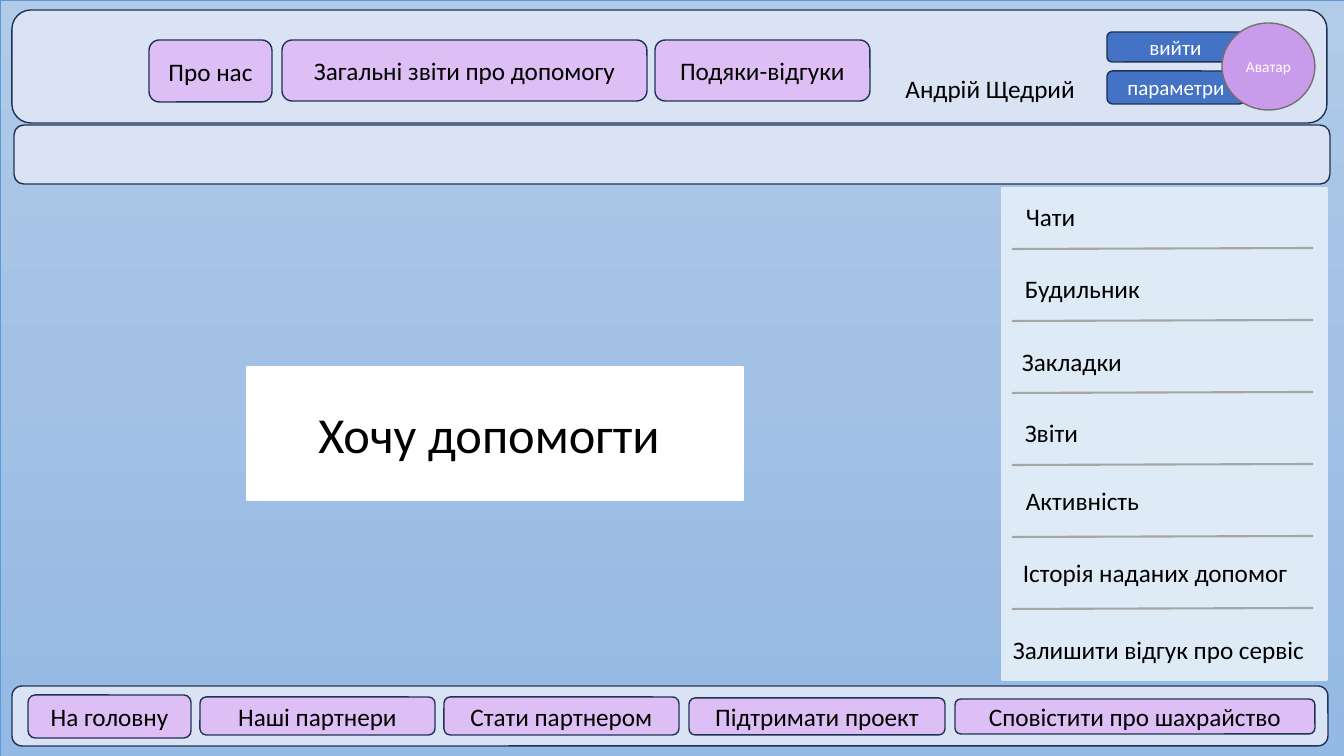
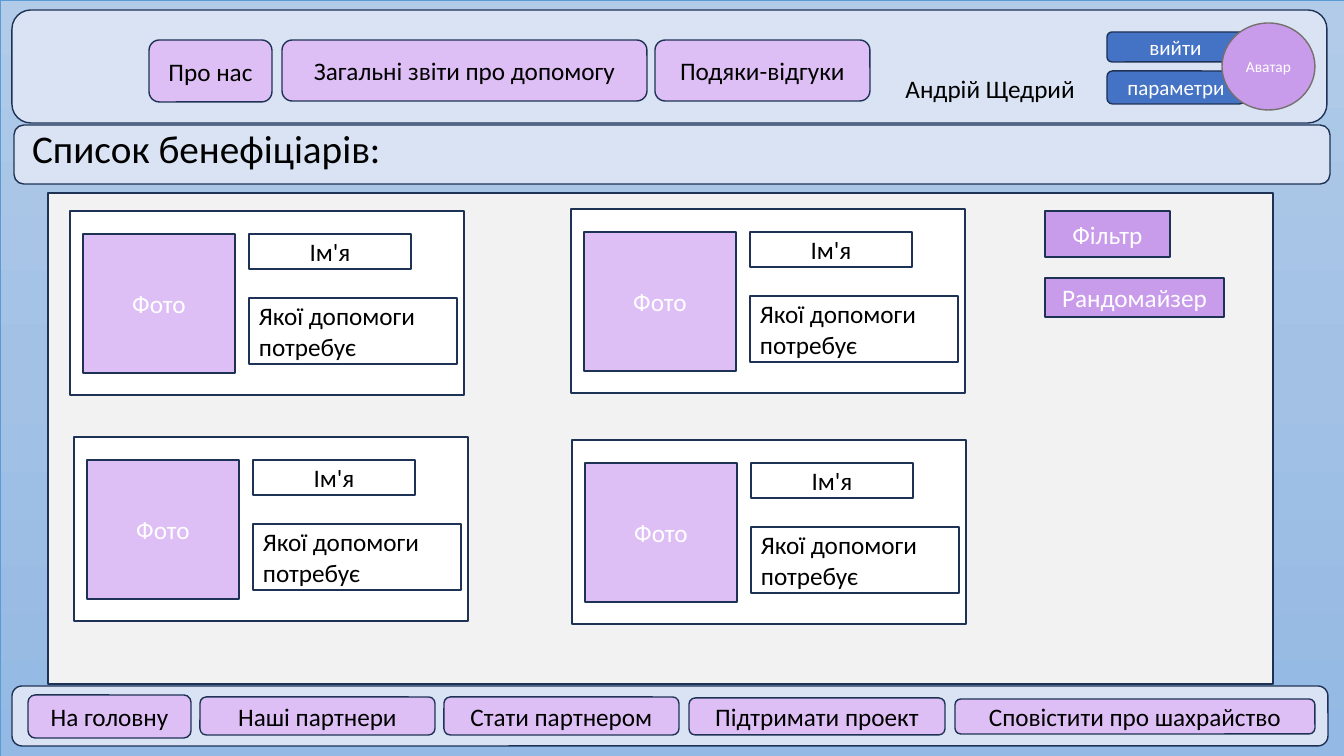
from copy import deepcopy

from pptx import Presentation
from pptx.dml.color import RGBColor
from pptx.enum.shapes import MSO_CONNECTOR, MSO_SHAPE
from pptx.enum.text import MSO_ANCHOR as ANCHOR, MSO_AUTO_SIZE, PP_ALIGN as ALIGN
from pptx.oxml.ns import qn
from pptx.oxml.xmlchemy import OxmlElement
from pptx.util import Emu, Pt

SCALE = 914400 / 100.8
FONT = "Calibri"
COLORS = {
    "page": "FCF7EB",
    "sky_edge": "5B9BD5",
    "band": "DAE3F3",
    "outline": "1E3256",
    "button": "DEBFF5",
    "accent": "C99BEB",
    "account": "4472C4",
    "avatar_edge": "767171",
    "menu": "DEEBF7",
    "divider": "A5A5A5",
    "panel": "F2F2F2",
    "white": "FFFFFF",
    "black": "000000",
}
SKY_STOPS = [(0, "B1CBE9"), (0.5, "A3C1E5"), (1, "93B9E4")]


def px(length):
    return Emu(round(length * SCALE))


def color(name):
    return RGBColor.from_string(COLORS[name])


class Page:
    """Holds the shared style and the current slide."""

    def __init__(self, presentation):
        self.slide = presentation.slides.add_slide(presentation.slide_layouts[5])
        background = self.slide.background.fill
        background.solid()
        background.fore_color.rgb = color("page")

    def add_text(self, shape, text, size=18, ink="black", align=ALIGN.CENTER,
                 anchor=ANCHOR.MIDDLE, wrap=True):
        frame = shape.text_frame
        frame.auto_size = MSO_AUTO_SIZE.NONE
        frame.word_wrap = wrap
        frame.vertical_anchor = anchor
        paragraph = frame.paragraphs[0]
        paragraph.alignment = align
        run = paragraph.add_run()
        run.text = text
        run.font.name = FONT
        run.font.size = Pt(size)
        run.font.color.rgb = color(ink)

    def shape(self, box, fill=None, line="outline", text=None,
              kind=MSO_SHAPE.RECTANGLE, **style):
        shape = self.slide.shapes.add_shape(kind, *map(px, box))
        shape.shadow.inherit = False
        if fill:
            shape.fill.solid()
            shape.fill.fore_color.rgb = color(fill)
        else:
            shape.fill.background()
        if line:
            shape.line.color.rgb = color(line)
            shape.line.width = Pt(1)
        else:
            shape.line.fill.background()
        if text:
            self.add_text(shape, text, **style)
        return shape

    def rounded(self, box, fill=None, text=None, **style):
        return self.shape(box, fill, text=text, kind=MSO_SHAPE.ROUNDED_RECTANGLE, **style)

    def label(self, box, text, **style):
        shape = self.slide.shapes.add_textbox(*map(px, box))
        self.add_text(shape, text, anchor=ANCHOR.TOP, **style)

    def title(self, box, text, **style):
        title = self.slide.shapes.title
        title.left, title.top, title.width, title.height = map(px, box)
        self.add_text(title, text, **style)
        # Bring the title in front of the shapes drawn so far
        self.slide.shapes._spTree.append(title._element)
        return title

    def divider(self, left, top, right, bottom):
        line = self.slide.shapes.add_connector(
            MSO_CONNECTOR.STRAIGHT, *map(px, (left, top, right, bottom)))
        line.line.color.rgb = color("divider")
        line.line.width = Pt(1.5)
        line._element.spPr.append(OxmlElement("a:effectLst"))

    def sky(self):
        sky = self.shape((0, 0, 1350, 756), line="sky_edge")
        sky.line.width = Pt(0.5)
        sky.fill.gradient()
        sky.fill.gradient_angle = 270
        stop_list = sky._element.spPr.find(".//" + qn("a:gsLst"))
        stop_list.insert(1, deepcopy(stop_list[0]))
        for stop, (position, hex_color) in zip(sky.fill.gradient_stops, SKY_STOPS):
            stop.position = position
            stop.color.rgb = RGBColor.from_string(hex_color)

    def site_frame(self):
        self.sky()
        # Bands
        for box in [(12, 686, 1316, 60), (12, 10, 1315, 113), (14, 125, 1316, 59)]:
            self.rounded(box, "band")
        # Account corner
        self.rounded((1107, 71, 138, 33), "account", "параметри", size=15, ink="white")
        self.rounded((1107, 32, 137, 30), "account", "вийти", size=15, ink="white")
        self.rounded((894, 72, 354, 33), text="Андрій Щедрий", line=None, align=ALIGN.LEFT)
        self.shape((1222, 23, 93, 87), "accent", "avatar_edge", "Аватар",
                   MSO_SHAPE.FLOWCHART_CONNECTOR, size=11, ink="white", wrap=False)
        # Header and footer buttons
        for text, *box in [
            ("Про нас", 149, 40, 123, 62),
            ("Загальні звіти про допомогу", 282, 40, 365, 61),
            ("Подяки-відгуки", 655, 40, 215, 61),
            ("На головну", 28, 695, 163, 43),
            ("Наші партнери", 200, 697, 235, 38),
            ("Стати партнером", 444, 697, 235, 38),
            ("Підтримати проект", 689, 698, 256, 37),
            ("Сповістити про шахрайство", 955, 699, 360, 35),
        ]:
            self.rounded(box, "button", text)

    def beneficiary_card(self, left, top):
        self.shape((left, top, 394, 184), "white")
        self.shape((left + 13, top + 23, 152, 139), "button", text="Фото", ink="white")
        self.shape((left + 179, top + 23, 162, 35), text="Ім'я")
        self.shape((left + 179, top + 87, 208, 66), text="Якої допомоги потребує",
                   align=ALIGN.LEFT)


presentation = Presentation()
presentation.slide_width = px(1344)
presentation.slide_height = px(756)

# Slide 1: offer of help with the side menu
home = Page(presentation)
home.site_frame()
home.shape((1002, 188, 325, 492), "menu", "menu")
offer_box = (247, 367, 496, 133)
home.shape(offer_box, "white", "white")
offer = home.title(offer_box, "Хочу допомогти", size=36)
offer.text_frame.margin_right = px(22)
for row in range(6):
    y = 249 + 72 * row
    home.divider(1012, y, 1313, y - 1)
for text, left, top in [
    ("Чати", 1016, 196),
    ("Будильник", 1015, 268),
    ("Закладки", 1012, 341),
    ("Звіти", 1015, 412),
    ("Активність", 1016, 480),
    ("Історія наданих допомог", 1013, 552),
    ("Залишити відгук про сервіс", 1003, 629),
]:
    home.label((left, top, 312, 40), text, align=ALIGN.LEFT)

# Slide 2: list of beneficiaries
people = Page(presentation)
people.site_frame()
people.shape((48, 193, 1225, 491), "panel")
for left, top in [(70, 211), (571, 209), (74, 437), (572, 440)]:
    people.beneficiary_card(left, top)
people.title((22, 119, 461, 57), "Список бенефіціарів:", size=28,
             align=ALIGN.LEFT, anchor=ANCHOR.TOP)
people.shape((1045, 211, 125, 46), "accent", text="Фільтр", ink="white")
people.shape((1045, 278, 179, 39), "accent", text="Рандомайзер", ink="white")

presentation.save("out.pptx")
